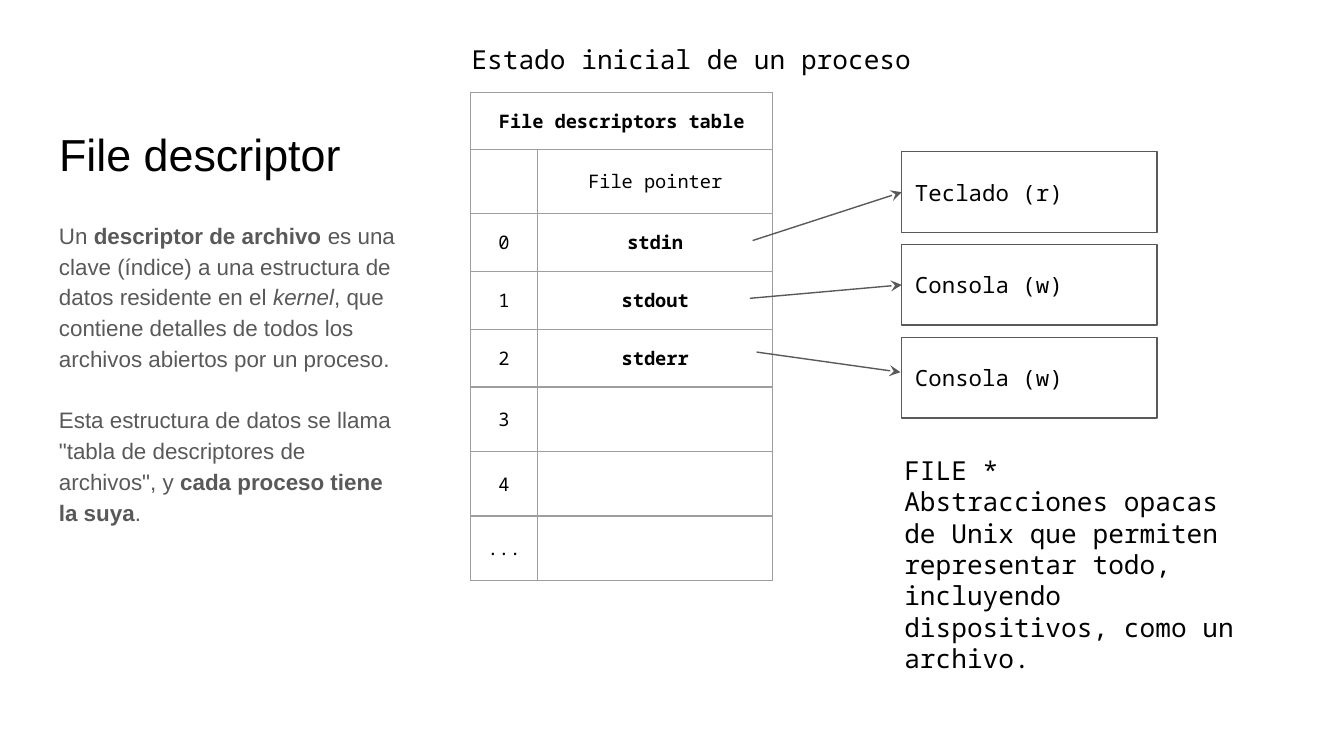
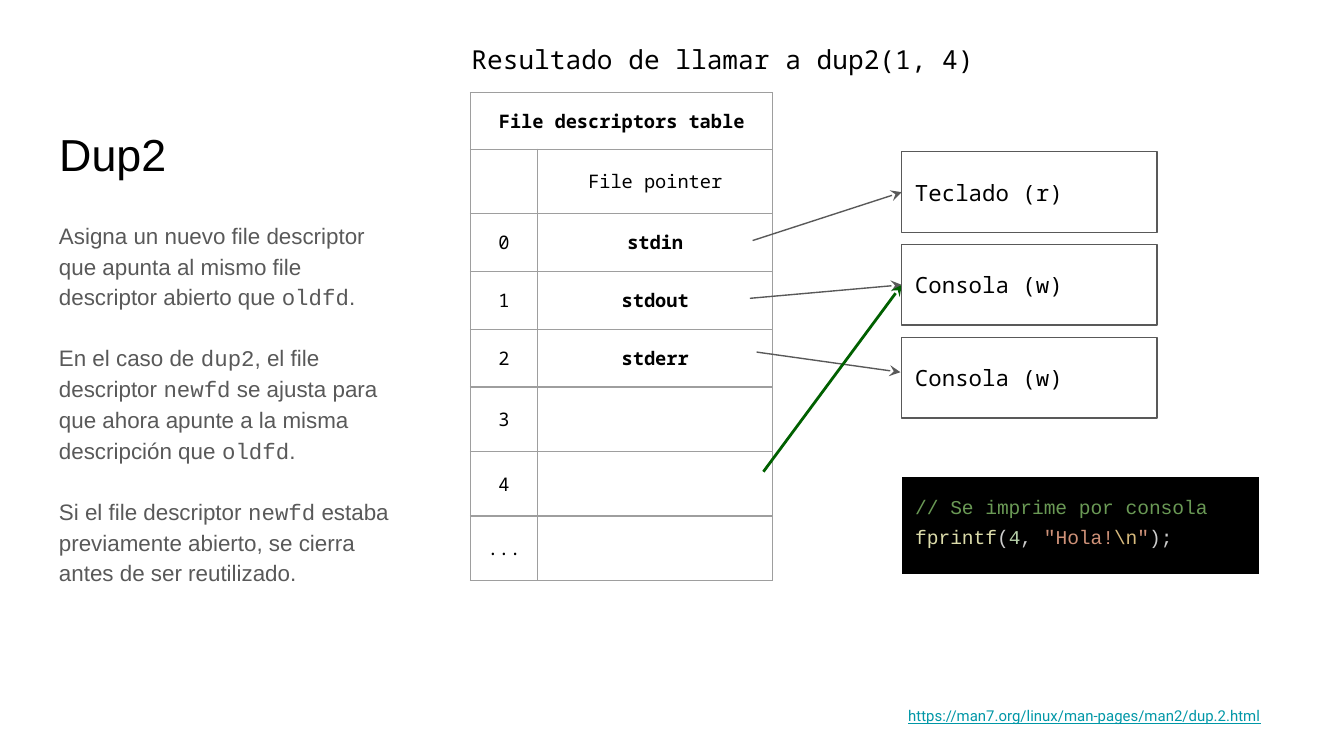
from lxml import etree
from pptx import Presentation
from pptx.dml.color import RGBColor
from pptx.enum.shapes import MSO_CONNECTOR, MSO_SHAPE
from pptx.enum.text import MSO_ANCHOR, MSO_AUTO_SIZE, PP_ALIGN
from pptx.oxml.ns import qn
from pptx.util import Inches, Pt

LEFT, MID, RIGHT = PP_ALIGN.LEFT, PP_ALIGN.CENTER, PP_ALIGN.RIGHT
TOP, CENTRE, LOW = MSO_ANCHOR.TOP, MSO_ANCHOR.MIDDLE, MSO_ANCHOR.BOTTOM
RECT, LINE = MSO_SHAPE.RECTANGLE, MSO_CONNECTOR.STRAIGHT
FIXED = MSO_AUTO_SIZE.NONE

HEX = {
    "ink": "000000", "paper": "FFFFFF", "grey": "595959", "rule": "9E9E9E",
    "green": "006000", "link": "0097A7", "note": "6A9955", "call": "DCDCAA",
    "plain": "CCCCCC", "number": "B5CEA8", "string": "CE9178",
    "escape": "D7BA7D",
}
SANS, MONO, CODE, WEB = "Arial", "Noto Sans Mono", "Courier New", "Roboto"
COLS = 100  # square grid cells across the slide

TABLE = [
    ["File descriptors table", ""],
    ["", "File pointer"],
    ["0", "stdin"], ["1", "stdout"], ["2", "stderr"],
    ["3", ""], ["4", ""], ["...", ""],
]
BOLD = {"File descriptors table", "stdin", "stdout", "stderr"}
BOXES = ["Teclado (r)", "Consola (w)", "Consola (w)"]
ARROWS = [(56, 17.9, 67.1, 14.3), (55.8, 22.2, 67.1, 21.2),
          (56.3, 26.2, 67, 27.7)]


def rgb(name):
    return RGBColor.from_string(HEX[name])


class Deck:
    def __init__(self):
        self.prs = Presentation()
        self.prs.slide_width = Inches(10)
        self.prs.slide_height = Inches(5.625)
        self.slide = None

    def grid(self, *cells):
        return [round(n * self.prs.slide_width / COLS) for n in cells]

    def fill(self, frame, paras, size, face=MONO, color="ink", align=LEFT,
             space=None, gap=0):
        """Fill a frame; a run is a string or (text, mark), where a mark is
        "bold", "italic", "code" or a colour name."""
        for i, runs in enumerate(paras):
            para = frame.add_paragraph() if i else frame.paragraphs[0]
            para.alignment = align
            if space:
                para.line_spacing = space
            if i and gap:
                para.space_before = Pt(gap)
            font = para.font
            font.size, font.name = Pt(size), face
            font.color.rgb = rgb(color)
            for item in [runs] if isinstance(runs, str) else runs:
                text, mark = (item, "") if isinstance(item, str) else item
                run = para.add_run()
                run.text = text
                if mark == "bold":
                    run.font.bold = True
                elif mark == "italic":
                    run.font.italic = True
                elif mark == "code":
                    run.font.name = CODE
                elif mark:
                    run.font.color.rgb = rgb(mark)

    def setup(self, frame, anchor):
        frame.word_wrap = True
        frame.auto_size = FIXED
        frame.vertical_anchor = anchor
        pad, = self.grid(1)
        frame.margin_left = frame.margin_right = pad
        frame.margin_top = frame.margin_bottom = pad

    def start(self, title):
        self.slide = self.prs.slides.add_slide(self.prs.slide_layouts[5])
        head = self.slide.shapes.title
        head.left, head.top, head.width, head.height = self.grid(
            3.4, 6.1, 30.7, 8.3)
        self.setup(head.text_frame, LOW)
        self.fill(head.text_frame, [title], 24, SANS)

    def text(self, at, paras, size, **style):
        box = self.slide.shapes.add_textbox(*self.grid(*at))
        self.setup(box.text_frame, TOP)
        self.fill(box.text_frame, paras, size, **style)
        return box.text_frame

    def body(self, paras):
        self.text((3.4, 15.2, 27.2, 34.8), paras, 12, face=SANS,
                  color="grey", space=1.15, gap=16)

    def box(self, at, label):
        box = self.slide.shapes.add_shape(RECT, *self.grid(*at))
        box.shadow.inherit = False
        box.fill.solid()
        box.fill.fore_color.rgb = rgb("paper")
        box.line.color.rgb = rgb("grey")
        box.line.width = Pt(0.75)
        self.setup(box.text_frame, CENTRE)
        self.fill(box.text_frame, [label], 12)

    def arrow(self, ends, color="grey", width=0.75):
        line = self.slide.shapes.add_connector(LINE, *self.grid(*ends))
        line.line.color.rgb = rgb(color)
        line.line.width = Pt(width)
        props = line.element.spPr
        etree.SubElement(props.find(qn("a:ln")), qn("a:tailEnd"),
                         type="stealth")
        etree.SubElement(props, qn("a:effectLst"))

    def table(self, left, top, cols, rows):
        grid = self.slide.shapes.add_table(
            len(rows), len(cols),
            *self.grid(left, top, sum(cols), sum(rows))).table
        grid.first_row = grid.horz_banding = False
        for col, size in zip(grid.columns, self.grid(*cols)):
            col.width = size
        for row, size in zip(grid.rows, self.grid(*rows)):
            row.height = size
        return grid

    def cell(self, cell, fill, edge=None, slim=False):
        """Paint a cell; slim keeps an empty one from stretching its row."""
        props = cell._tc.get_or_add_tcPr()
        for side in "LRTB":
            line = etree.SubElement(props, qn(f"a:ln{side}"),
                                    w=str(Pt(0.75)))
            if edge:
                paint = etree.SubElement(line, qn("a:solidFill"))
                etree.SubElement(paint, qn("a:srgbClr"), val=HEX[edge])
            else:
                etree.SubElement(line, qn("a:noFill"))
        cell.fill.solid()
        cell.fill.fore_color.rgb = rgb(fill)
        cell.margin_left, cell.margin_right = self.grid(1, 1)
        cell.margin_top, cell.margin_bottom = self.grid(
            *[0.2 if slim else 1] * 2)

    def scene(self, caption, width):
        """Draw the descriptor table, its caption and the arrows."""
        tall = [4.2] + [4.3 if all(row) else 4.8 for row in TABLE[1:]]
        grid = self.table(35, 6.9, [5, 17.5], tall)
        for r, row in enumerate(TABLE):
            for c, word in enumerate(row):
                cell = grid.cell(r, c)
                self.cell(cell, "paper", "rule", slim=not word)
                cell.vertical_anchor = CENTRE
                run = (word, "bold" if word in BOLD else "")
                self.fill(cell.text_frame, [[run] if word else []], 10,
                          align=MID)
        grid.cell(0, 0).merge(grid.cell(0, 1))
        self.text((34.1, 2.2, width, 4.8), [caption], 14)
        for ends in ARROWS:
            self.arrow(ends)

    def targets(self):
        for i, label in enumerate(BOXES):
            self.box((67.1, 11.3 + 6.9 * i, 19, 6), label)

    def code(self, paras):
        cell = self.table(67.1, 35.5, [26.6], [7.2]).cell(0, 0)
        self.cell(cell, "ink")
        self.fill(cell.text_frame, paras, 10.5, CODE, "note", space=1.36)


def first(deck):
    deck.start("File descriptor")
    deck.body([
        ["Un ", ("descriptor de archivo", "bold"),
         " es una clave (índice) a una estructura de datos residente en el ",
         ("kernel", "italic"),
         ", que contiene detalles de todos los archivos abiertos por un "
         "proceso."],
        ['Esta estructura de datos se llama "tabla de descriptores de '
         'archivos", y ', ("cada proceso tiene la suya", "bold"), "."],
    ])
    deck.scene("Estado inicial de un proceso", 39.5)
    deck.targets()
    deck.text((66.3, 32.8, 27.2, 13.8), [
        "FILE *", "Abstracciones opacas",
        "de Unix que permiten representar todo, incluyendo dispositivos, "
        "como un archivo."], 14)


def second(deck):
    old, new = ("oldfd", "code"), ("newfd", "code")
    deck.start("Dup2")
    deck.body([
        ["Asigna un nuevo file descriptor que apunta al mismo file "
         "descriptor abierto que ", old, "."],
        ["En el caso de ", ("dup2", "code"), ", el file descriptor ", new,
         " se ajusta para que ahora apunte a la misma descripción que ",
         old, "."],
        ["Si el file descriptor ", new,
         " estaba previamente abierto, se cierra antes de ser reutilizado."],
    ])
    deck.scene("Resultado de llamar a dup2(1, 4)", 44.3)
    deck.arrow((56.8, 35.1, 67.1, 21.2), "green", 1.5)
    deck.targets()
    deck.code([
        "// Se imprime por consola",
        [("fprintf", "call"), ("(", "plain"), ("4", "number"),
         (", ", "plain"), ('"Hola!', "string"), ("\\n", "escape"),
         ('"', "string"), (");", "plain")],
    ])
    link = deck.text((62, 51.6, 32.8, 3.4),
                     ["https://man7.org/linux/man-pages/man2/dup.2.html"], 8,
                     face=WEB, color="link", align=RIGHT)
    link.paragraphs[0].font.underline = True


def main():
    deck = Deck()
    first(deck)
    second(deck)
    deck.prs.save("out.pptx")


if __name__ == "__main__":
    main()
